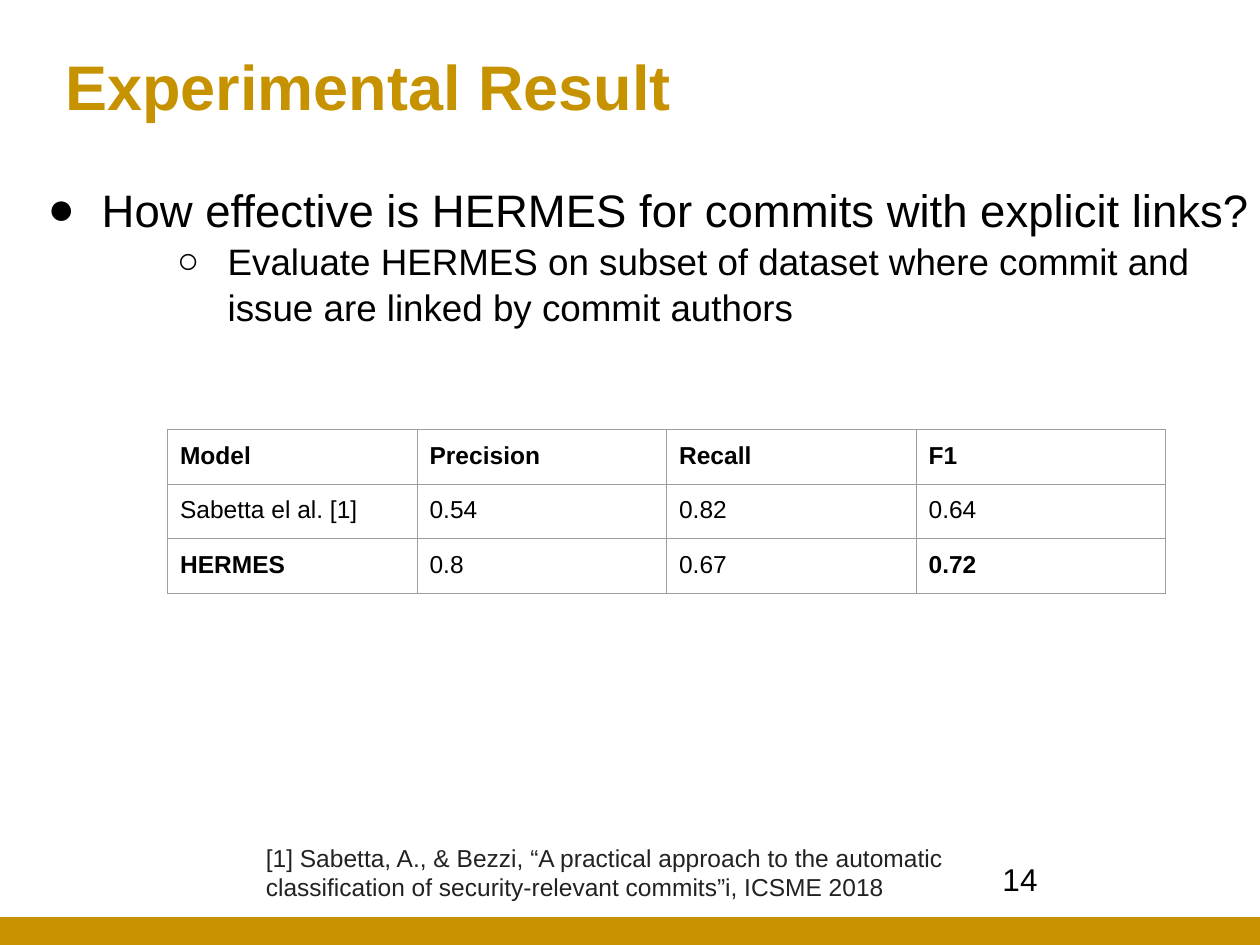
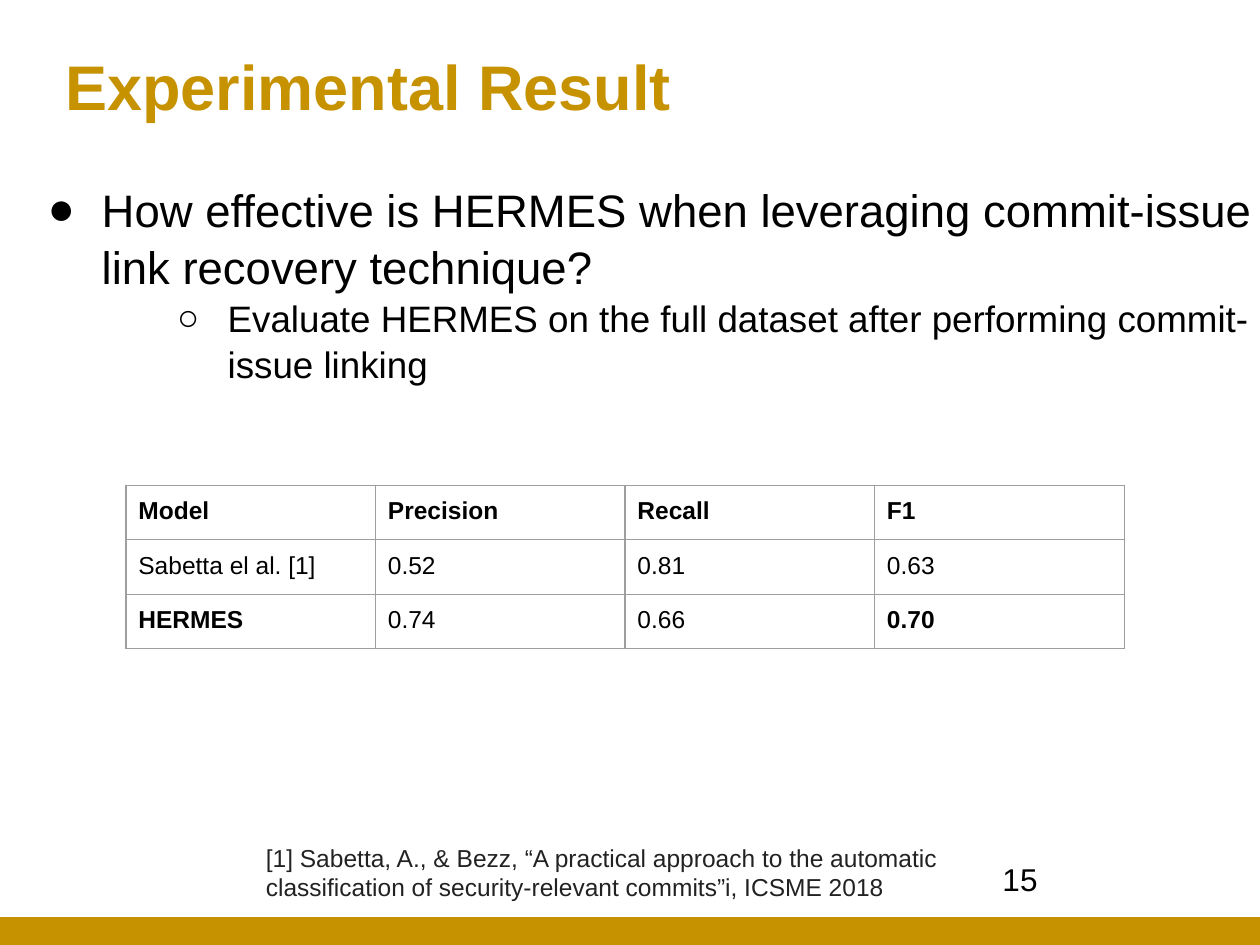
from dataclasses import dataclass

from lxml import etree
from pptx import Presentation
from pptx.dml.color import RGBColor
from pptx.enum.shapes import MSO_SHAPE
from pptx.enum.text import MSO_ANCHOR, MSO_AUTO_SIZE, PP_ALIGN
from pptx.oxml.ns import qn
from pptx.util import Cm, Pt

RECTANGLE = MSO_SHAPE.RECTANGLE
TOP, MIDDLE = MSO_ANCHOR.TOP, MSO_ANCHOR.MIDDLE
NO_AUTOFIT = MSO_AUTO_SIZE.NONE
LEFT = PP_ALIGN.LEFT
TITLE_AND_CONTENT = 1
SLIDE_WIDTH, SLIDE_HEIGHT = Cm(25.4), Cm(19.05)


@dataclass(frozen=True)
class Theme:
    font: str = "Arial"
    gold: str = "C69200"
    text: str = "000000"
    note: str = "222222"
    grid: str = "9E9E9E"
    title_size: float = 36
    question_size: float = 26
    detail_size: float = 21
    page_size: float = 18
    small_size: float = 14
    grid_width: float = 0.75


class SlideBuilder:
    def __init__(self, deck, theme):
        self.deck = deck
        self.theme = theme
        self.slide = None

    def new_slide(self):
        layout = self.deck.slide_layouts[TITLE_AND_CONTENT]
        self.slide = self.deck.slides.add_slide(layout)

    def place(self, shape, left, top, width, height):
        shape.left, shape.top = Cm(left), Cm(top)
        shape.width, shape.height = Cm(width), Cm(height)

    def prepare_frame(self, frame, anchor=TOP, inset=0.13):
        frame.word_wrap = True
        frame.auto_size = NO_AUTOFIT
        frame.vertical_anchor = anchor
        frame.margin_left = frame.margin_right = Cm(0.25)
        frame.margin_top = frame.margin_bottom = Cm(inset)

    def add_span(self, para, text, size, color, bold=False):
        para.alignment = LEFT
        span = para.add_run()
        span.text = text
        span.font.name = self.theme.font
        span.font.size = Pt(size)
        span.font.bold = bold
        span.font.color.rgb = RGBColor.from_string(color)

    def add_band(self):
        height = Cm(0.56)
        band = self.slide.shapes.add_shape(
            RECTANGLE, 0, SLIDE_HEIGHT - height, SLIDE_WIDTH, height)
        band.shadow.inherit = False
        band.fill.solid()
        band.fill.fore_color.rgb = RGBColor.from_string(self.theme.gold)
        band.line.fill.background()

    def add_title(self, text):
        title = self.slide.shapes.title
        self.place(title, 1.07, 0.81, 23.06, 1.8)
        self.prepare_frame(title.text_frame, MIDDLE)
        self.add_span(title.text_frame.paragraphs[0], text,
                      self.theme.title_size, self.theme.gold, bold=True)

    def add_bullet(self, para, mark, margin, hanging):
        properties = para._p.get_or_add_pPr()
        properties.set("marL", str(Cm(margin)))
        properties.set("indent", str(-Cm(hanging)))
        color = etree.SubElement(properties, qn("a:buClr"))
        etree.SubElement(color, qn("a:srgbClr"), val=self.theme.text)
        etree.SubElement(properties, qn("a:buFont"), typeface=self.theme.font)
        etree.SubElement(properties, qn("a:buChar"), char=mark)

    def add_question(self, question, detail, width, height):
        """Fill the body with a research question and how it is evaluated."""
        body = self.slide.placeholders[1]
        self.place(body, -0.74, 3.48, width, height)
        frame = body.text_frame
        self.prepare_frame(frame)
        levels = (
            (question, self.theme.question_size, 4.8, "●", 2.54, 1.09),
            (detail, self.theme.detail_size, 0, "○", 5.08, 1.02),
        )
        for level, (text, size, before, mark, margin, hanging) in enumerate(levels):
            para = frame.add_paragraph() if level else frame.paragraphs[0]
            para.level = level
            para.line_spacing = 1.05
            para.space_before = Pt(before)
            self.add_bullet(para, mark, margin, hanging)
            self.add_span(para, text, size, self.theme.text)

    def add_text(self, text, position, size, color, inset=0.13):
        box = self.slide.shapes.add_textbox(0, 0, 0, 0)
        self.place(box, *position)
        self.prepare_frame(box.text_frame, inset=inset)
        self.add_span(box.text_frame.paragraphs[0], text, size, color)

    def add_cell_borders(self, cell):
        properties = cell._tc.get_or_add_tcPr()
        for side in ("lnL", "lnR", "lnT", "lnB"):
            line = etree.SubElement(properties, qn(f"a:{side}"),
                                    w=str(Pt(self.theme.grid_width)))
            fill = etree.SubElement(line, qn("a:solidFill"))
            etree.SubElement(fill, qn("a:srgbClr"), val=self.theme.grid)

    def add_scores(self, baseline, proposed, left, top):
        """Compare two models; the header, proposed name and its F1 are bold."""
        rows = (
            ("Model", "Precision", "Recall", "F1"),
            ("Sabetta el al. [1]", *baseline),
            ("HERMES", *proposed),
        )
        bold_cells = {(2, 0), (2, 3)}
        table = self.slide.shapes.add_table(
            len(rows), len(rows[0]), Cm(left), Cm(top), Cm(20.12), Cm(3.3)).table
        table.first_row = table.horz_banding = False
        for row, texts in enumerate(rows):
            for column, text in enumerate(texts):
                cell = table.cell(row, column)
                self.add_cell_borders(cell)
                cell.fill.background()
                cell.margin_left = cell.margin_right = Cm(0.25)
                cell.margin_top = cell.margin_bottom = Cm(0.25)
                bold = row == 0 or (row, column) in bold_cells
                self.add_span(cell.text_frame.paragraphs[0], text,
                              self.theme.small_size, self.theme.text, bold)

    def add_footer(self, page, second_author):
        self.add_band()
        self.add_text(str(page), (19.96, 17.2, 3.61, 0.64),
                      self.theme.page_size, self.theme.text)
        citation = (f"[1] Sabetta, A., & {second_author}, “A practical approach to the "
                    "automatic classification of security-relevant commits”i, ICSME 2018")
        self.add_text(citation, (5.11, 16.74, 15.42, 1.7),
                      self.theme.small_size, self.theme.note, inset=0.25)


RESULTS = (
    dict(
        page=14,
        second_author="Bezzi",
        question=dict(
            question="How effective is HERMES for commits with explicit links?",
            detail="Evaluate HERMES on subset of dataset where commit and issue "
                   "are linked by commit authors",
            width=26.44, height=4.45),
        scores=dict(baseline=("0.54", "0.82", "0.64"),
                    proposed=("0.8", "0.67", "0.72"), left=3.38, top=8.66),
    ),
    dict(
        page=15,
        second_author="Bezz",
        question=dict(
            question="How effective is HERMES when leveraging commit-issue link "
                     "recovery technique?",
            detail="Evaluate HERMES on the full dataset after performing "
                   "commit-issue linking",
            width=27.46, height=5.56),
        scores=dict(baseline=("0.52", "0.81", "0.63"),
                    proposed=("0.74", "0.66", "0.70"), left=2.54, top=9.78),
    ),
)


def main():
    deck = Presentation()
    deck.slide_width, deck.slide_height = SLIDE_WIDTH, SLIDE_HEIGHT
    builder = SlideBuilder(deck, Theme())
    for result in RESULTS:
        builder.new_slide()
        builder.add_footer(result["page"], result["second_author"])
        builder.add_title("Experimental Result")
        builder.add_question(**result["question"])
        builder.add_scores(**result["scores"])
    deck.save("out.pptx")


if __name__ == "__main__":
    main()
